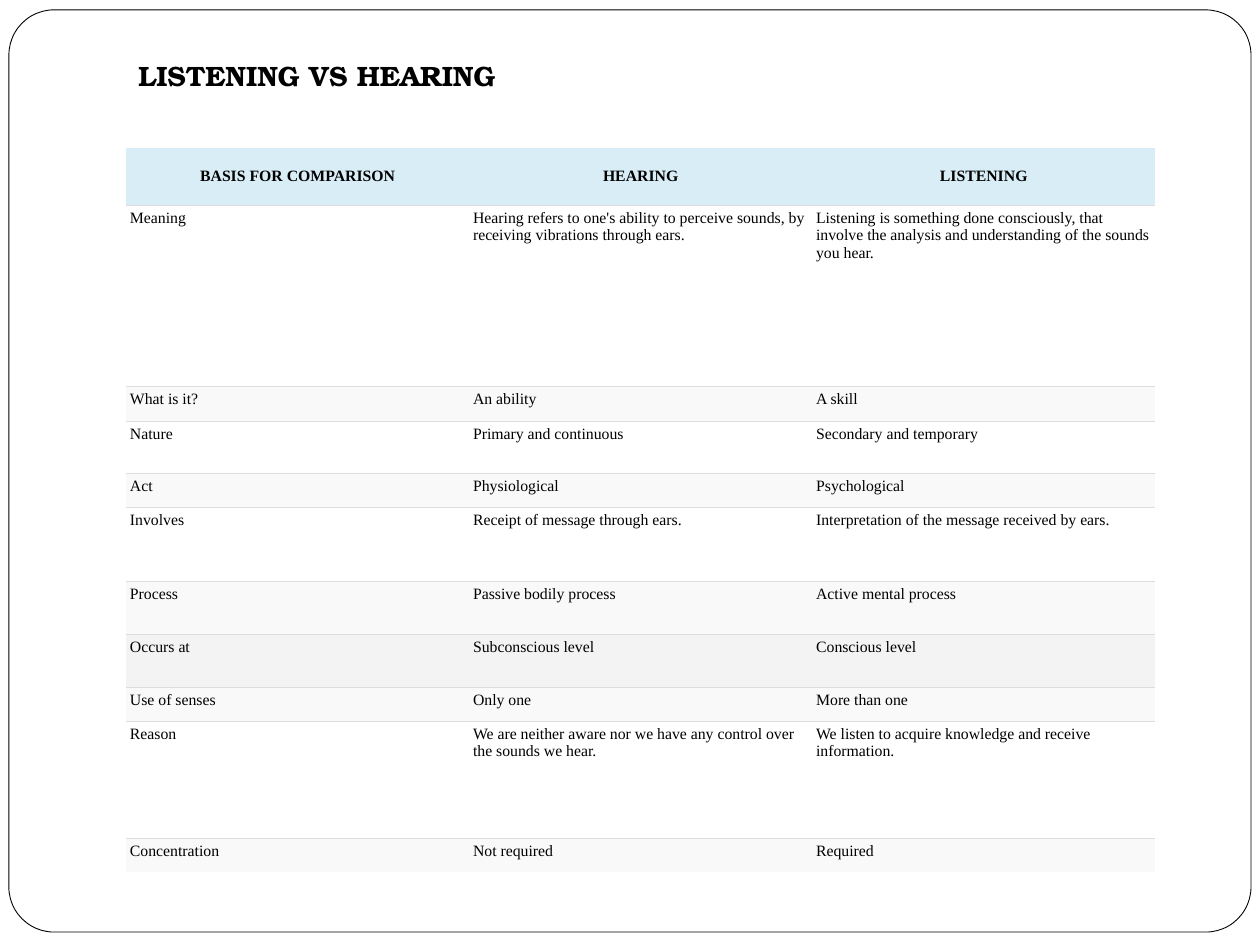
import pptx
import pptx.util
import pptx.dml.color
import pptx.enum.shapes
import pptx.enum.text
import pptx.oxml
import pptx.oxml.ns
from dataclasses import dataclass

Cm = pptx.util.Cm
Pt = pptx.util.Pt
RGB = pptx.dml.color.RGBColor
Align = pptx.enum.text.PP_ALIGN
Anchor = pptx.enum.text.MSO_ANCHOR

BLACK = RGB(0x00, 0x00, 0x00)
WHITE = RGB(0xFF, 0xFF, 0xFF)
BLUE = RGB(0xD9, 0xED, 0xF7)
PALE = RGB(0xF9, 0xF9, 0xF9)
GREY = RGB(0xF3, 0xF3, 0xF3)
RULE = RGB(0xDD, 0xDD, 0xDD)

TITLE = {"name": "TeX Gyre Bonum", "size": Pt(16), "bold": True}
HEAD = {"name": "Times New Roman", "size": Pt(9), "bold": True}
BODY = {**HEAD, "bold": False}
PAD = {f"margin_{side}": Cm(0.08) for side in ("left", "top", "right", "bottom")}


@dataclass
class Row:
    height: float
    fill: RGB
    texts: tuple[str, str, str]


ROWS = [
    Row(1.16, BLUE, ("BASIS FOR COMPARISON", "HEARING", "LISTENING")),
    Row(3.66, WHITE, (
        "Meaning",
        "Hearing refers to one's ability to perceive sounds, by receiving vibrations through ears.",
        "Listening is something done consciously, that involve the analysis and "
        "understanding of the sounds you hear.")),
    Row(0.69, PALE, ("What is it?", "An ability", "A skill")),
    Row(1.06, WHITE, ("Nature", "Primary and continuous", "Secondary and temporary")),
    Row(0.69, PALE, ("Act", "Physiological", "Psychological")),
    Row(1.49, WHITE, ("Involves", "Receipt of message through ears.",
                      "Interpretation of the message received by ears.")),
    Row(1.06, PALE, ("Process", "Passive bodily process", "Active mental process")),
    Row(1.06, GREY, ("Occurs at", "Subconscious level", "Conscious level")),
    Row(0.69, PALE, ("Use of senses", "Only one", "More than one")),
    Row(2.36, WHITE, ("Reason",
                      "We are neither aware nor we have any control over the sounds we hear.",
                      "We listen to acquire knowledge and receive information.")),
    Row(0.69, PALE, ("Concentration", "Not required", "Required")),
]


def assign(target: object, values: dict) -> None:
    for key, value in values.items():
        setattr(target, key, value)


def write(frame: object, text: str, style: dict, align: Align) -> None:
    frame.text = text
    para = frame.paragraphs[0]
    para.alignment = align
    font = para.runs[0].font
    assign(font, style)
    font.color.rgb = BLACK


def border(cell: object, sides: str) -> None:
    """Rule the named sides of a cell and clear the others."""
    props = cell._tc.get_or_add_tcPr()
    for side in "LRTB":
        if side in sides:
            paint = f'<a:solidFill><a:srgbClr val="{RULE}"/></a:solidFill>'
        else:
            paint = "<a:noFill/>"
        props.append(pptx.oxml.parse_xml(
            f'<a:ln{side} {pptx.oxml.ns.nsdecls("a")} w="{Pt(0.6)}">{paint}</a:ln{side}>'))


def draw_frame(slide: object) -> None:
    frame = slide.shapes.add_shape(
        pptx.enum.shapes.MSO_SHAPE.ROUNDED_RECTANGLE,
        Cm(0.18), Cm(0.2), Cm(25.04), Cm(18.59))
    frame.adjustments[0] = 0.049
    frame.shadow.inherit = False
    frame.fill.solid()
    frame.fill.fore_color.rgb = WHITE
    frame.line.color.rgb = BLACK
    frame.line.width = Pt(0.5)
    # Send behind the title
    slide.shapes.title.element.addprevious(frame.element)


def draw_title(slide: object, text: str) -> None:
    title = slide.shapes.title
    assign(title, {"left": Cm(2.54), "top": Cm(0.76),
                   "width": Cm(21.59), "height": Cm(1.35)})
    assign(title.text_frame, {
        "margin_left": Cm(0.25), "margin_top": Cm(0.13),
        "margin_right": Cm(0.25), "margin_bottom": Cm(0.25),
        "vertical_anchor": Anchor.BOTTOM, "word_wrap": True,
        "auto_size": pptx.enum.text.MSO_AUTO_SIZE.NONE})
    write(title.text_frame, text, TITLE, Align.LEFT)


def draw_table(slide: object, rows: list[Row]) -> None:
    total = sum(row.height for row in rows)
    table = slide.shapes.add_table(
        len(rows), 3, Cm(2.54), Cm(2.98), Cm(20.75), Cm(total)).table
    assign(table, {"first_row": False, "horz_banding": False})
    for num, row in enumerate(rows):
        table.rows[num].height = Cm(row.height)
        head = num == 0
        sides = "B" if head else "T" if num == len(rows) - 1 else "TB"
        for col, text in enumerate(row.texts):
            cell = table.cell(num, col)
            assign(cell, PAD)
            cell.vertical_anchor = Anchor.MIDDLE if head else Anchor.TOP
            border(cell, sides)
            cell.fill.solid()
            cell.fill.fore_color.rgb = row.fill
            write(cell.text_frame, text, HEAD if head else BODY,
                  Align.CENTER if head else Align.LEFT)


def main() -> None:
    deck = pptx.Presentation()
    assign(deck, {"slide_width": Cm(25.4), "slide_height": Cm(19.05)})
    slide = deck.slides.add_slide(deck.slide_layouts[5])
    draw_frame(slide)
    draw_title(slide, "LISTENING VS HEARING")
    draw_table(slide, ROWS)
    deck.save("out.pptx")


if __name__ == "__main__":
    main()
